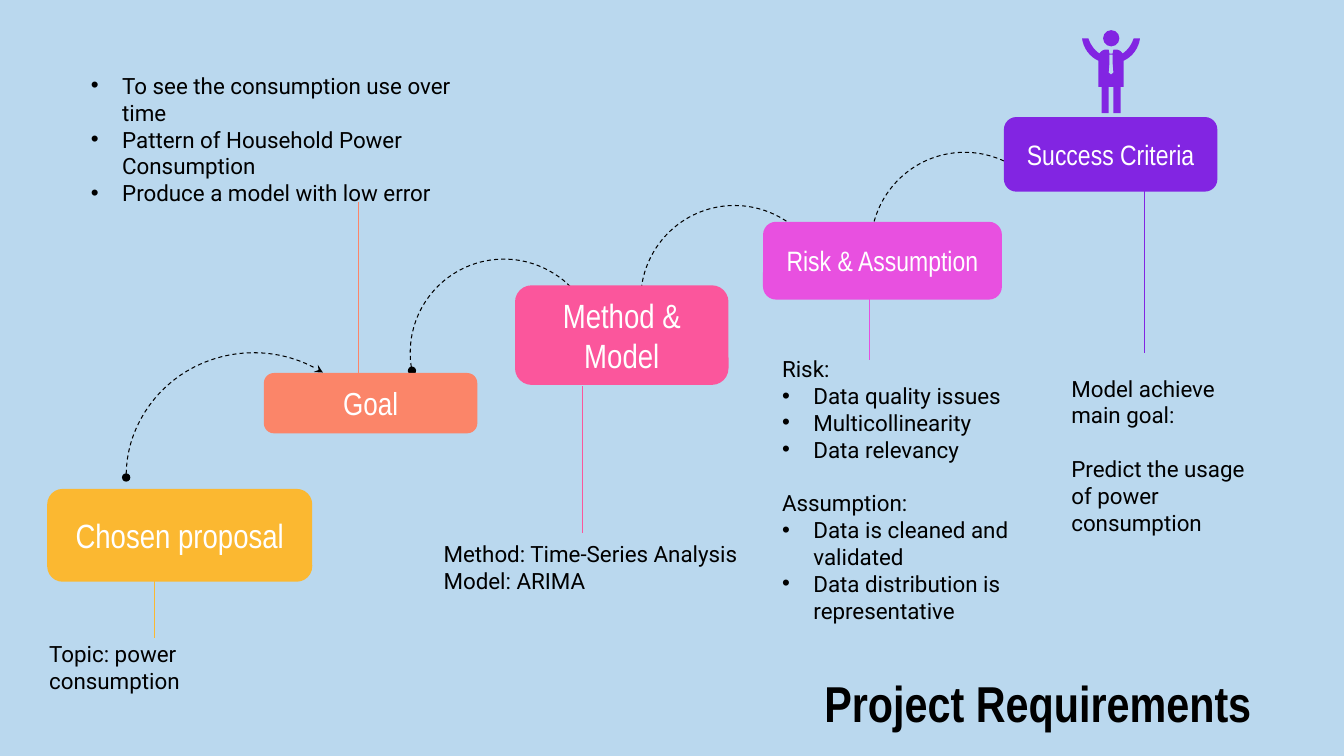
"""Build the Project Requirements slide: five rising steps with their notes."""
import pptx
import pptx.dml.color
import pptx.enum.dml
import pptx.enum.shapes
import pptx.enum.text
import pptx.oxml.ns
import pptx.util
from lxml import etree

Cm, Pt, qn = pptx.util.Cm, pptx.util.Pt, pptx.oxml.ns.qn
SHAPES = pptx.enum.shapes.MSO_SHAPE
ALIGN = pptx.enum.text.PP_ALIGN

BACKGROUND, BLACK, WHITE, PURPLE = "BAD8EE", "000000", "FFFFFF", "8225E2"
HEADING_FONT, NOTE_FONT = "Arial Narrow", "Roboto"
NOTE_SIZE, BLANK_LINE = 16, 19
INSET, INDENT = 0.33, 0.79

TITLE = ("Project Requirements", (19.15, 16.81, 14.02, 1.78))

STEPS = [
    {"name": "Chosen proposal", "size": 24, "color": "FBB831",
     "box": (1.19, 12.32, 6.68, 2.34), "stem": (3.89, 13.87, 16.08),
     "note_box": (0.91, 15.65, 7.24, 2.34),
     "note": [("plain", "Topic: power consumption")]},
    {"name": "Goal", "size": 22.7, "color": "FB8569",
     "box": (6.65, 9.4, 5.38, 1.52), "stem": (9.04, 5.08, 9.4),
     "note_box": (1.96, 0.43, 10.64, 6.15),
     "note": [("bullet", "To see the consumption use over time"),
              ("bullet", "Pattern of Household Power Consumption"),
              ("bullet", "Produce a model with low error")]},
    {"name": "Method & Model", "size": 24, "color": "FB569C",
     "box": (12.98, 7.19, 5.38, 2.51), "stem": (14.68, 9.73, 13.44),
     "note_box": (10.85, 12.27, 8.79, 4.04),
     "note": [("plain", "Method: Time-Series Analysis"),
              ("plain", "Model: ARIMA")]},
    {"name": "Success Criteria", "size": 20, "color": PURPLE,
     "box": (25.3, 2.95, 5.38, 1.88), "stem": (28.85, 4.67, 8.89),
     "note_box": (26.67, 9.07, 5.38, 4.8),
     "note": [("plain", "Model achieve main goal:"),
              ("spaced", "Predict the usage of power consumption")]},
    {"name": "Risk & Assumption", "size": 20, "color": "E850E0",
     "box": (19.23, 5.59, 6.02, 1.96), "stem": (21.92, 6.83, 9.07),
     "note_box": (19.38, 8.33, 7.9, 8),
     "note": [("plain", "Risk:"),
              ("bullet", "Data quality issues"),
              ("bullet", "Multicollinearity"),
              ("bullet", "Data relevancy"),
              ("spaced", "Assumption:"),
              ("bullet", "Data is cleaned and validated"),
              ("bullet", "Data distribution is representative")]},
]

LEAPS = [
    ((3.18, 8.89, 6.43, 6.25), (107.8, 182.15)),
    ((10.34, 6.53, 4.72, 4.72), (101.37, 193.31)),
    ((16.15, 5.18, 4.72, 4.72), (107.8, 193.31)),
    ((21.95, 3.84, 4.72, 4.72), (107.8, 193.31)),
]

WINNER_CENTRE, WINNER_TOP = 28, 0.97
WINNER_HEAD = (27.8, 0.76, 0.41, 0.41)
SHOULDER = [(-0.14, 0.28), (-0.19, 0.28), (-0.27, 0.33), (-0.29, 0.38)]
INNER_ARM = [(-0.29, 0.38), (-0.42, 0.3), (-0.52, 0.15), (-0.57, 0)]
OUTER_ARM = [(-0.73, 0), (-0.7, 0.23), (-0.55, 0.46), (-0.32, 0.56)]
COLLAR = [(-0.04, 0.38), (-0.06, 0.28)]
LEG = [(-0.32, 1.22), (-0.24, 1.22), (-0.24, 1.88), (-0.06, 1.88), (-0.06, 1.22)]
TIE = [(-0.04, 0.41), (-0.04, 0.61), (-0.06, 0.86), (0, 0.91)]


def rgb(color):
    return pptx.dml.color.RGBColor.from_string(color)


def lengths(values):
    return [Cm(value) for value in values]


def paint(shape, color):
    shape.shadow.inherit = False
    shape.fill.solid()
    shape.fill.fore_color.rgb = rgb(color)
    shape.line.fill.background()


def style(paragraph, font, size, color, align=ALIGN.LEFT, bold=False):
    paragraph.alignment = align
    for run in paragraph.runs:
        run.font.name, run.font.size, run.font.bold = font, Pt(size), bold
        run.font.color.rgb = rgb(color)


def prepare(shape):
    frame = shape.text_frame
    frame.word_wrap = True
    frame.vertical_anchor = pptx.enum.text.MSO_ANCHOR.MIDDLE
    frame.margin_left = frame.margin_right = Cm(INSET)
    frame.margin_top = frame.margin_bottom = Cm(INSET)
    return frame


def write_heading(shape, text, size, color, bold=False):
    frame = prepare(shape)
    frame.text = text
    style(frame.paragraphs[0], HEADING_FONT, size, color, ALIGN.CENTER, bold)


def add_bullet(paragraph):
    properties = paragraph._p.get_or_add_pPr()
    properties.set("marL", str(Cm(INDENT)))
    properties.set("indent", str(-Cm(INDENT)))
    etree.SubElement(properties, qn("a:buFont"), typeface="Arial")
    etree.SubElement(properties, qn("a:buChar"), char="•")


def add_note(slide, box, lines):
    frame = prepare(slide.shapes.add_textbox(*lengths(box)))
    frame.text = "\n".join(text for _, text in lines)
    for paragraph, (kind, _) in zip(frame.paragraphs, lines):
        style(paragraph, NOTE_FONT, NOTE_SIZE, BLACK)
        if kind == "bullet":
            add_bullet(paragraph)
        elif kind == "spaced":
            paragraph.space_before = Pt(BLANK_LINE)


def add_leap(slide, box, angles):
    arc = slide.shapes.add_shape(SHAPES.ARC, *lengths(box))
    arc.shadow.inherit = False
    arc.adjustments[0], arc.adjustments[1] = angles
    arc.fill.background()
    arc.line.color.rgb = rgb(BLACK)
    arc.line.width = Pt(0.75)
    arc.line.dash_style = pptx.enum.dml.MSO_LINE.DASH
    outline = arc.line._get_or_add_ln()
    etree.SubElement(outline, qn("a:headEnd"), type="oval")
    etree.SubElement(outline, qn("a:tailEnd"), type="stealth")


def add_step(slide, step):
    x, top, bottom = lengths(step["stem"])
    stem = slide.shapes.add_connector(
        pptx.enum.shapes.MSO_CONNECTOR.STRAIGHT, x, top, x, bottom)
    stem.line.color.rgb = rgb(step["color"])
    stem.line.width = Pt(0.75)
    etree.SubElement(stem._element.spPr, qn("a:effectLst"))
    card = slide.shapes.add_shape(SHAPES.ROUNDED_RECTANGLE, *lengths(step["box"]))
    paint(card, step["color"])
    write_heading(card, step["name"], step["size"], WHITE)
    add_note(slide, step["note_box"], step["note"])


def curve(points, pieces=8):
    weights = (1, 3, 3, 1)
    return [tuple(sum(w * (1 - t) ** (3 - i) * t ** i * point[axis]
                      for i, (w, point) in enumerate(zip(weights, points)))
                  for axis in (0, 1))
            for t in (piece / pieces for piece in range(pieces + 1))]


def mirrored(half):
    whole = half + [(-x, y) for x, y in reversed(half)]
    return [(Cm(WINNER_CENTRE + x), Cm(WINNER_TOP + y)) for x, y in whole]


def add_winner(slide):
    paint(slide.shapes.add_shape(SHAPES.OVAL, *lengths(WINNER_HEAD)), PURPLE)
    body = mirrored(COLLAR + curve(SHOULDER) + curve(INNER_ARM)
                    + curve(OUTER_ARM) + LEG)
    tie = mirrored(TIE)
    builder = slide.shapes.build_freeform(*body[0])
    builder.add_line_segments(body[1:], close=True)
    builder.move_to(*tie[0])
    builder.add_line_segments(tie[1:], close=True)
    paint(builder.convert_to_shape(), PURPLE)


def main():
    deck = pptx.Presentation()
    deck.slide_width, deck.slide_height = Cm(33.87), Cm(19.05)
    slide = deck.slides.add_slide(deck.slide_layouts[6])
    slide.background.fill.solid()
    slide.background.fill.fore_color.rgb = rgb(BACKGROUND)
    for box, angles in LEAPS:
        add_leap(slide, box, angles)
    title, title_box = TITLE
    write_heading(slide.shapes.add_textbox(*lengths(title_box)), title, 36, BLACK, True)
    for step in STEPS:
        add_step(slide, step)
    add_winner(slide)
    deck.save("out.pptx")


if __name__ == "__main__":
    main()
